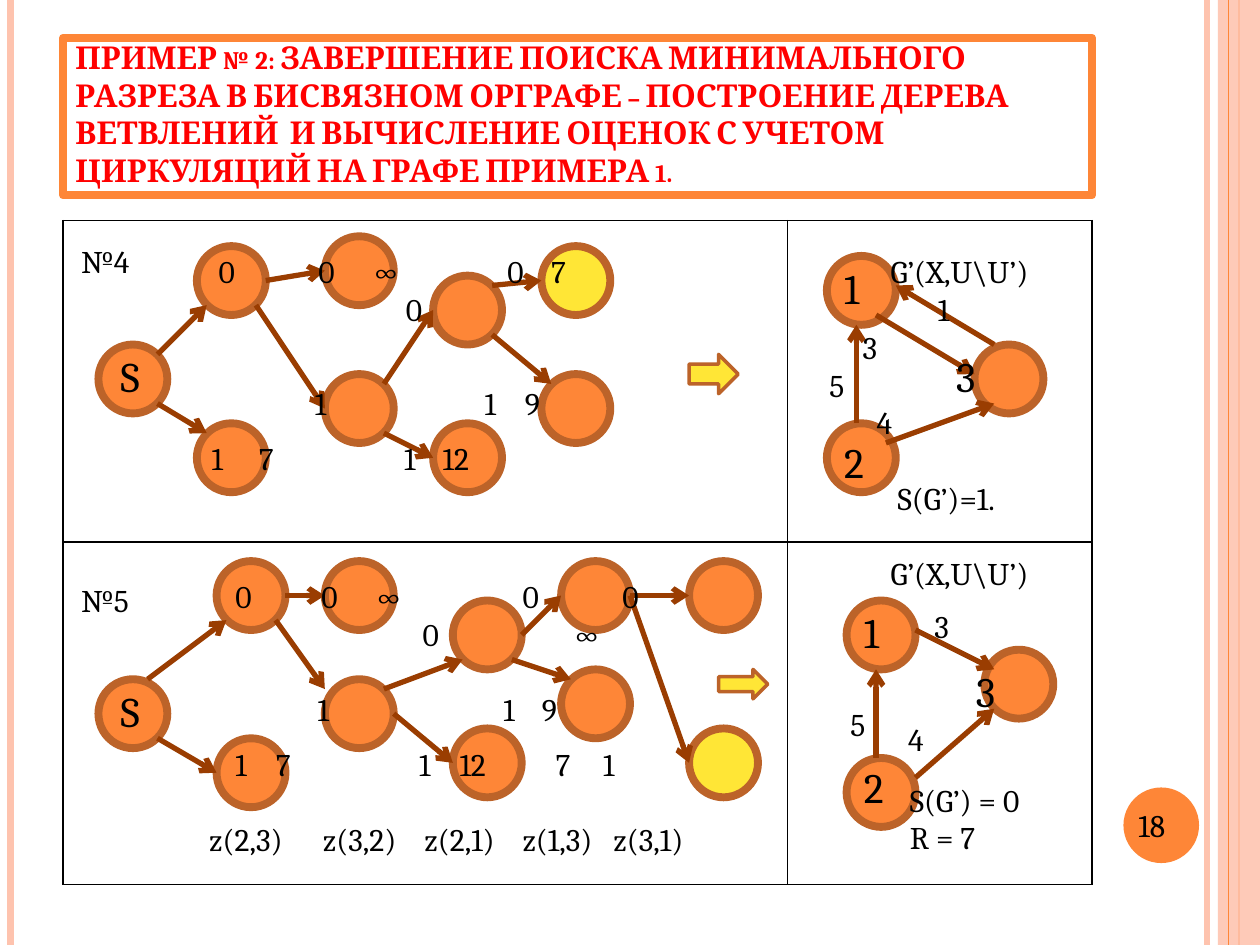
from lxml.etree import SubElement
from pptx import Presentation
from pptx.dml.color import RGBColor
from pptx.enum.shapes import MSO_CONNECTOR, MSO_SHAPE
from pptx.enum.text import MSO_ANCHOR
from pptx.oxml.ns import qn
from pptx.util import Pt

BLACK = RGBColor(0x00, 0x00, 0x00)
RED = RGBColor(0xFF, 0x00, 0x00)
ORANGE = RGBColor(0xFE, 0x86, 0x37)
YELLOW = RGBColor(0xFF, 0xE6, 0x36)
PEACH = RGBColor(0xFE, 0xC3, 0xAE)
BROWN = RGBColor(0xBC, 0x63, 0x29)
DARK_BROWN = RGBColor(0x9A, 0x3D, 0x01)

GRID = 720 / 128  # drawing grid step in points
NODE = 7  # node diameter in grid steps
LINE_HEIGHT = 1.195  # line height of Cambria relative to its size

presentation = Presentation()
presentation.slide_width, presentation.slide_height = Pt(720), Pt(540)
slide = presentation.slides.add_slide(presentation.slide_layouts[6])
shapes = slide.shapes


def add_shape(kind, box, fill=None, line=None, width=0):
    shape = shapes.add_shape(kind, *[Pt(value) for value in box])
    shape.shadow.inherit = False
    for part, color in ((shape.fill, fill), (shape.line.fill, line)):
        if color is None:
            part.background()
        else:
            part.solid()
            part.fore_color.rgb = color
    if line is not None:
        shape.line.width = Pt(width)
    return shape


def add_line(points, color, width):
    line = shapes.add_connector(MSO_CONNECTOR.STRAIGHT, *[Pt(value) for value in points])
    line.line.color.rgb = color
    line.line.width = Pt(width)
    SubElement(line._element.spPr, qn("a:effectLst"))
    return line


# Side stripes and the page number disc
for x, color, width in ((689.8, PEACH, 3), (6, PEACH, 4.5), (708, ORANGE, 1.5)):
    add_line((x, 0, x, 540), color, width)
stripe = add_shape(MSO_SHAPE.RECTANGLE, (696, 0, 24, 540), PEACH)
stripe_color = stripe._element.spPr.find(qn("a:solidFill"))[0]
SubElement(stripe_color, qn("a:alpha"), val="87000")
add_line((702, 0, 702, 540), ORANGE, 0.75)
add_shape(MSO_SHAPE.OVAL, (642, 450, 43.2, 43.2), ORANGE)

# Title
title = shapes.add_textbox(Pt(36), Pt(21.6), Pt(588), Pt(90))
title.line.color.rgb = ORANGE
title.line.width = Pt(4.5)
title.text_frame.word_wrap = True
title.text_frame.vertical_anchor = MSO_ANCHOR.BOTTOM
run = title.text_frame.paragraphs[0].add_run()
run.text = (
    "ПРИМЕР № 2: ЗАВЕРШЕНИЕ ПОИСКА МИНИМАЛЬНОГО РАЗРЕЗА В БИСВЯЗНОМ ОРГРАФЕ – "
    "ПОСТРОЕНИЕ ДЕРЕВА ВЕТВЛЕНИЙ  И ВЫЧИСЛЕНИЕ ОЦЕНОК С УЧЕТОМ ЦИРКУЛЯЦИЙ "
    "НА ГРАФЕ ПРИМЕРА 1."
)
for name, value in {"name": "Cambria", "size": Pt(18), "bold": True}.items():
    setattr(run.font, name, value)
run.font.color.rgb = RED
run._r.get_or_add_rPr().set("cap", "small")

# Table frame
table = shapes.add_table(2, 2, Pt(36), Pt(126), Pt(588), Pt(379.4)).table
for column, width in zip(table.columns, (414, 174)):
    column.width = Pt(width)
for row, height in zip(table.rows, (183.6, 195.8)):
    row.height = Pt(height)
for cell in table.iter_cells():
    properties = cell._tc.get_or_add_tcPr()
    for side in ("a:lnL", "a:lnR", "a:lnT", "a:lnB"):
        border = SubElement(properties, qn(side), w=str(Pt(1)))
        border_fill = SubElement(border, qn("a:solidFill"))
        SubElement(border_fill, qn("a:srgbClr"), val=str(BLACK))
    cell.fill.background()

# Nodes of the trees and graphs: left and top in grid steps
nodes = {
    ORANGE: (
        (10, 35), (20, 25), (20, 43), (33, 24), (33, 38), (55, 38), (44, 28), (44, 43),
        (10, 69), (22, 57), (70, 57), (57, 68), (57, 57), (46, 74), (46, 61), (33, 69),
        (33, 57), (22, 75),
        (84, 43), (99, 35), (84, 26), (86, 77), (100, 66), (86, 61),
    ),
    YELLOW: ((55, 25), (70, 74)),
}
for color, places in nodes.items():
    for left, top in places:
        box = [value * GRID for value in (left, top, NODE, NODE)]
        add_shape(MSO_SHAPE.OVAL, box, color, BROWN, 4.5)

# Edges: start and end in grid steps
edges = (
    # Tree 4
    (16, 36, 21, 31), (16, 41, 21, 44), (27, 28.5, 33, 27.5), (26, 31, 33, 41.5),
    (39, 39, 44, 31.5), (39, 44, 44, 46.5), (50, 34, 56, 39), (50, 29, 55, 28.5),
    # Tree 5
    (52, 67, 58, 69), (53, 64.5, 57, 60.5), (40, 72.5, 46, 77.5), (39, 70, 47, 67),
    (28, 63, 33, 70), (29, 60.5, 33, 60.5), (16, 75, 22, 78.5), (15, 69, 23, 63),
    (64, 60.5, 70, 77.5), (64, 60.5, 70, 60.5),
    # Graphs
    (87, 43, 87, 33), (90, 45, 101, 41), (101, 35, 91, 29), (89, 32, 99, 38),
    (89, 77, 89, 68), (93, 79, 101, 72), (93, 64, 101, 68),
)
for edge in edges:
    arrow = add_line([value * GRID for value in edge], DARK_BROWN, 3)
    SubElement(arrow.line._get_or_add_ln(), qn("a:tailEnd"), type="arrow")

# Block arrows from trees to graphs
for box in ((70, 36, 5, 4), (73, 68, 5, 3)):
    add_shape(MSO_SHAPE.RIGHT_ARROW, [value * GRID for value in box], YELLOW, BROWN, 2)

# Labels: box in grid steps, text size, then rows of
# (gap above in points of text size, {tab position in points: text})
labels = (
    ((11, 35, 8, 41), 24, ((0, {0: "S"}), (136, {0: "S"}))),
    ((19, 25, 60, 24.3), 18, (
        (0, {11: "0", 68: "0", 99: "∞", 176: "0", 201: "7"}),
        (0, {118: "0"}),
        (27, {66: "1", 163: "1", 186: "9"}),
        (8, {7: "1", 34: "7", 117: "1", 139: "12"}),
    )),
    ((20, 58, 60, 30.2), 18, (
        (0, {15: "0", 64: "0", 95: "∞", 179: "0", 236: "0"}),
        (0, {122: "0", 208: "∞"}),
        (18, {62: "1", 168: "1", 190: "9"}),
        (8, {15: "1", 38: "7", 120: "1", 143: "12", 198: "7", 225: "1"}),
        (18, {0: "z(2,3)", 65: "z(3,2)", 123: "z(2,1)", 179: "z(1,3)", 231: "z(3,1)"}),
    )),
    ((82, 26, 26, 24.3), 24, ((0, {14: "1"}), (18, {78: "3"}), (17, {14: "2"}))),
    ((84, 61, 26, 22.4), 24, ((0, {14: "1"}), (4, {78: "3"}), (22, {14: "2"}))),
    ((83, 25, 27, 63.4), 18, (
        (0, {35: "G’(X,U\\U’)"}), (0, {62: "1"}), (0, {19: "3"}), (0, {0: "5"}),
        (0, {27: "4"}), (18, {39: "S(G’)=1."}), (18, {35: "G’(X,U\\U’)"}),
        (54, {12: "5"}), (18, {46: "S(G’) = 0"}), (0, {46: "R = 7"}),
    )),
    ((91, 61, 8, 16.8), 18, ((0, {15: "3"}), (36, {0: "4"}))),
    ((7, 24, 10, 40), 18, ((0, {0: "№4"}), (144, {0: "№5"}))),
    ((114.4, 81.3, 8, 5), 18, ((0, {0: "18"}),)),
)
for box, size, rows in labels:
    text_box = shapes.add_textbox(*[Pt(value * GRID) for value in box])
    frame = text_box.text_frame
    frame.word_wrap = True
    for index, (gap, items) in enumerate(rows):
        paragraph = frame.add_paragraph() if index else frame.paragraphs[0]
        paragraph.space_before = Pt(gap * LINE_HEIGHT)
        tabs = SubElement(paragraph._p.get_or_add_pPr(), qn("a:tabLst"))
        for position in filter(None, items):
            SubElement(tabs, qn("a:tab"), pos=str(Pt(position)), algn="l")
        run = paragraph.add_run()
        run.text = "".join("\t" + text if position else text for position, text in items.items())
        for name, value in {"name": "Cambria", "size": Pt(size)}.items():
            setattr(run.font, name, value)
        run.font.color.rgb = BLACK

presentation.save("out.pptx")
